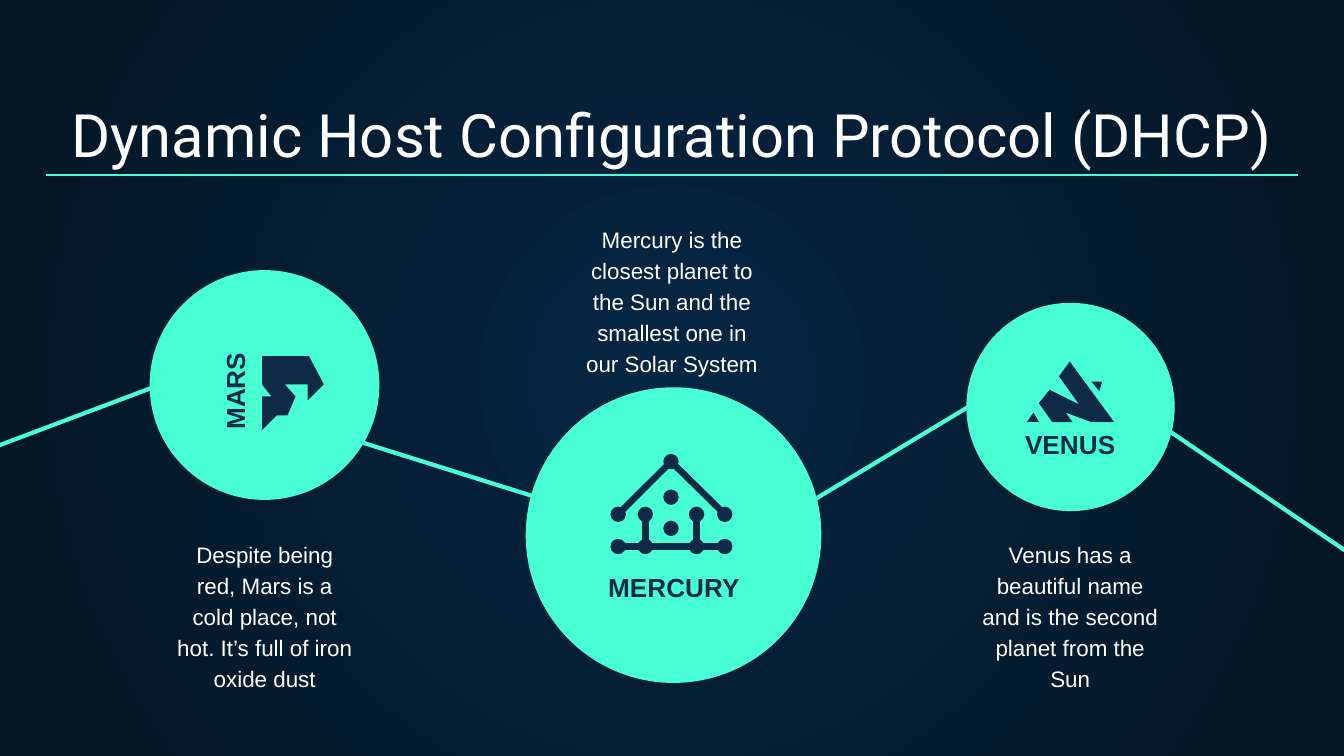
from dataclasses import dataclass
from itertools import product

from lxml import etree
from pptx import Presentation
from pptx.dml.color import RGBColor
from pptx.enum.shapes import MSO_CONNECTOR, MSO_SHAPE
from pptx.enum.text import MSO_ANCHOR, MSO_AUTO_SIZE, PP_ALIGN
from pptx.oxml.ns import qn
from pptx.util import Inches, Pt

STRAIGHT = MSO_CONNECTOR.STRAIGHT
OVAL = MSO_SHAPE.OVAL
TOP, BOTTOM = MSO_ANCHOR.TOP, MSO_ANCHOR.BOTTOM
CENTER = PP_ALIGN.CENTER
NO_AUTOFIT = MSO_AUTO_SIZE.NONE

MINT = RGBColor(0x48, 0xFF, 0xD5)
NAVY = RGBColor(0x0E, 0x2A, 0x47)
WHITE = RGBColor(0xFF, 0xFF, 0xFF)
GLOW = RGBColor(0x05, 0x26, 0x43)
NIGHT = RGBColor(0x04, 0x15, 0x23)

COLUMNS = 100
LABEL_WIDTH = 22.7
CAPTION_WIDTH = 15.2

Point = tuple[float, float]
Box = tuple[float, float, float, float]


@dataclass
class Planet:
    name: str
    caption: str
    center: Point
    diameter: float
    label_box: Box
    caption_box: Box
    rotation: int = 0


@dataclass
class Line:
    start: Point
    end: Point
    color: RGBColor
    width: float


PLANETS = [
    Planet("MARS", "Despite being red, Mars is a cold place, not hot. It’s full of iron oxide dust",
           (19.68, 28.65), 17.1, (6.25, 26.8, LABEL_WIDTH, 4.6),
           (12.1, 39, CAPTION_WIDTH, 13.8), 270),
    Planet("MERCURY",
           "Mercury is the closest planet to the Sun and the smallest one in our Solar System",
           (50.12, 39.82), 22, (38.8, 41.5, LABEL_WIDTH, 3.8),
           (42.4, 15.53, CAPTION_WIDTH, 13.2)),
    Planet("VENUS", "Venus has a beautiful name and is the second planet from the Sun",
           (79.65, 30.28), 15.5, (68.28, 30.9, LABEL_WIDTH, 4.1),
           (72.03, 39, CAPTION_WIDTH, 13.8)),
]

ORBIT = [
    Line((25.6, 32.5), (43.1, 38), MINT, 2.25),
    Line((54.9, 40.6), (74.5, 28.8), MINT, 2.25),
    Line((14.1, 27.8), (-6.6, 35.6), MINT, 2.25),
    Line((102.5, 42.6), (83.5, 29.7), MINT, 2.25),
]
TITLE_RULE = Line((3.4, 13.03), (96.6, 13.03), MINT, 0.75)

NODE_SIZE = 1.15
NODE_COLUMNS = (46, 48.02, 51.83, 53.93)
NODE_TOP, NODE_BASE = 38.27, 40.67
APEX = (49.93, 34.35)
NODES = [APEX, (APEX[0], 37), (APEX[0], 39.32), *product(NODE_COLUMNS, (NODE_TOP, NODE_BASE))]
LEFT, INNER_LEFT, INNER_RIGHT, RIGHT = NODE_COLUMNS
TRUSS = [
    Line(start, end, NAVY, 3.5)
    for start, end in [
        (APEX, (LEFT, NODE_TOP)),
        (APEX, (RIGHT, NODE_TOP)),
        ((INNER_LEFT, NODE_TOP), (INNER_LEFT, NODE_BASE)),
        ((INNER_RIGHT, NODE_TOP), (INNER_RIGHT, NODE_BASE)),
        ((LEFT, NODE_BASE), (RIGHT, NODE_BASE)),
    ]
]

MARS_ICON = [
    [(19.5, 26.5), (19.5, 28.6), (20.2, 29.5), (19.5, 29.5), (19.5, 32), (20.6, 30.9),
     (21.4, 30.9), (22, 29.5), (21.2, 28.6), (22.9, 28.6), (22.9, 29.8), (24.1, 28.6),
     (23, 26.5)],
]
VENUS_ICON = [
    [(76.9, 30.7), (76.4, 31.4), (77.3, 31.4)],
    [(81.2, 28.4), (81.8, 29.1), (82, 28.4)],
    [(79.6, 26.9), (78.8, 28), (80.3, 30.1), (78.1, 29), (77.3, 30), (78.3, 31.4),
     (79.8, 31.4), (79.3, 30.7), (81.2, 31.4), (82.9, 31.4)],
]

prs = Presentation()
prs.slide_width = Inches(10)
prs.slide_height = prs.slide_width * 9 // 16
s = prs.slides.add_slide(prs.slide_layouts[5])


def grid(cells: float) -> int:
    return round(prs.slide_width * cells / COLUMNS)


def paint_background() -> None:
    fill = s.background.fill
    fill.gradient()
    for stop, color in zip(fill.gradient_stops, (GLOW, NIGHT)):
        stop.color.rgb = color
    grad = s.element.find(".//" + qn("a:gradFill"))
    grad.remove(grad.find(qn("a:lin")))
    radial = etree.SubElement(grad, qn("a:path"), path="circle")
    etree.SubElement(radial, qn("a:fillToRect"), dict.fromkeys("ltrb", "50000"))


def paint(sp, color: RGBColor) -> None:
    sp.shadow.inherit = False
    sp.fill.solid()
    sp.fill.fore_color.rgb = color
    sp.line.fill.background()


def draw_disc(center: Point, diameter: float, color: RGBColor) -> None:
    left, top = (grid(c - diameter / 2) for c in center)
    paint(s.shapes.add_shape(OVAL, left, top, grid(diameter), grid(diameter)), color)


def draw_line(line: Line) -> None:
    sp = s.shapes.add_connector(STRAIGHT, *map(grid, line.start + line.end))
    sp.line.color.rgb = line.color
    sp.line.width = Pt(line.width)
    etree.SubElement(sp.element.spPr, qn("a:effectLst"))


def draw_outline(points: list[Point]) -> None:
    first, *rest = [(grid(x), grid(y)) for x, y in points]
    builder = s.shapes.build_freeform(*first)
    builder.add_line_segments(rest, close=True)
    paint(builder.convert_to_shape(), NAVY)


def write(sp, text: str, size: int, font: str, color: RGBColor,
          bold: bool = False, anchor=TOP) -> None:
    tf = sp.text_frame
    tf.text = text
    tf.word_wrap = True
    tf.auto_size = NO_AUTOFIT
    tf.vertical_anchor = anchor
    tf.margin_left = tf.margin_right = tf.margin_top = tf.margin_bottom = Inches(0.1)
    p = tf.paragraphs[0]
    p.alignment = CENTER
    r = p.runs[0]
    r.font.size, r.font.name, r.font.bold = Pt(size), font, bold
    r.font.color.rgb = color


def write_label(planet: Planet) -> None:
    sp = s.shapes.add_textbox(*map(grid, planet.label_box))
    sp.rotation = planet.rotation
    write(sp, planet.name, 14, "Arial", NAVY, bold=True)


def write_caption(planet: Planet) -> None:
    sp = s.shapes.add_textbox(*map(grid, planet.caption_box))
    write(sp, planet.caption, 12, "Arial", WHITE)
    p = sp.text_frame.paragraphs[0]
    p.line_spacing, p.space_after = 1.15, Pt(16)


paint_background()
title = s.shapes.title
title.left, title.top, title.width, title.height = map(grid, (3.4, 7.05, 93.2, 6.6))
write(title, "Dynamic Host Configuration Protocol (DHCP)", 32, "Roboto", WHITE, anchor=BOTTOM)

for planet in PLANETS:
    draw_disc(planet.center, planet.diameter, MINT)
for line in ORBIT + TRUSS:
    draw_line(line)
for node in NODES:
    draw_disc(node, NODE_SIZE, NAVY)
for outline in MARS_ICON + VENUS_ICON:
    draw_outline(outline)
for planet in PLANETS:
    write_label(planet)
for planet in PLANETS:
    write_caption(planet)
draw_line(TITLE_RULE)

prs.save("out.pptx")
